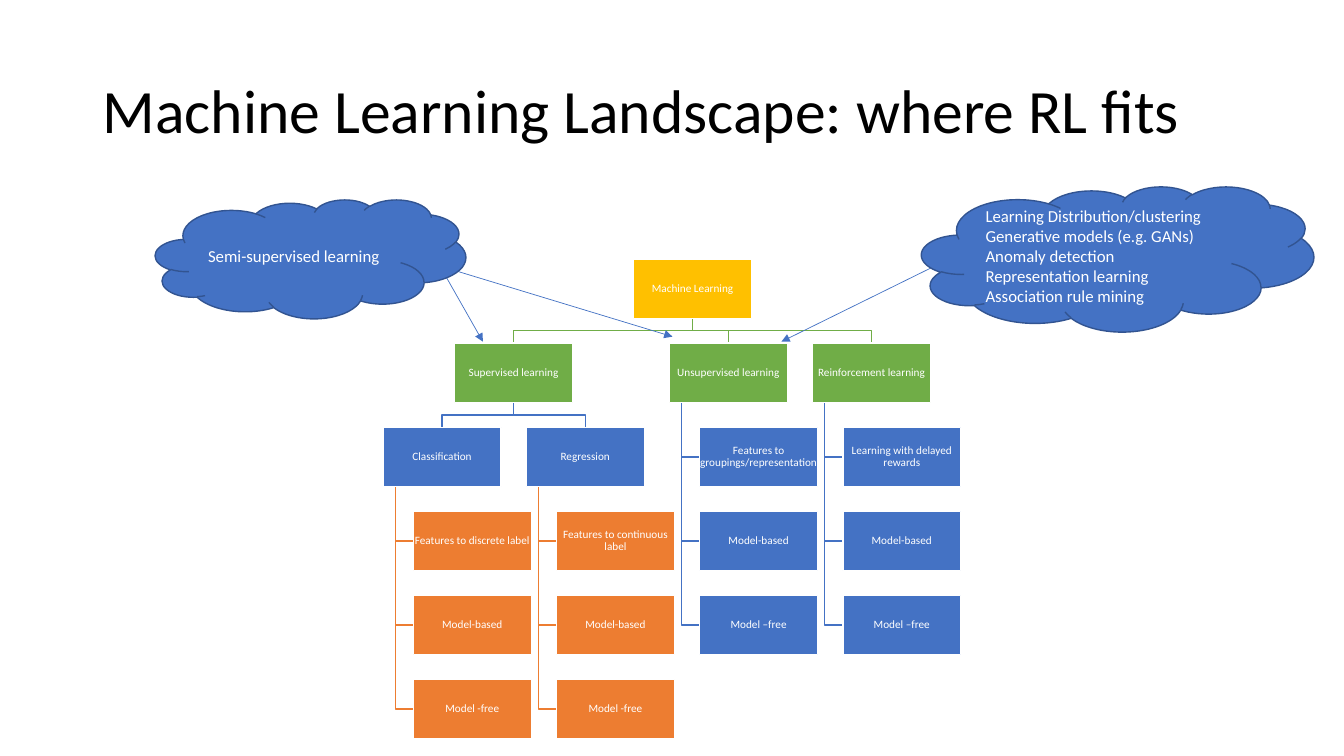
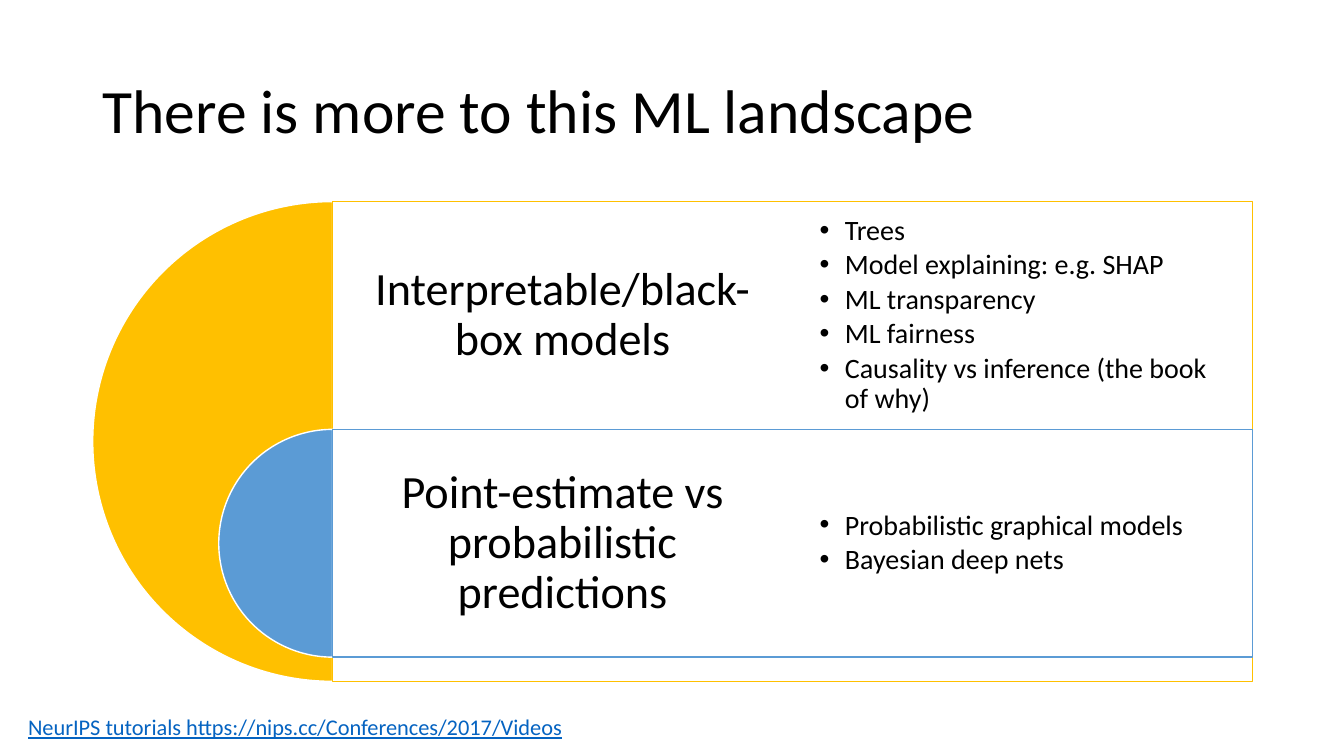
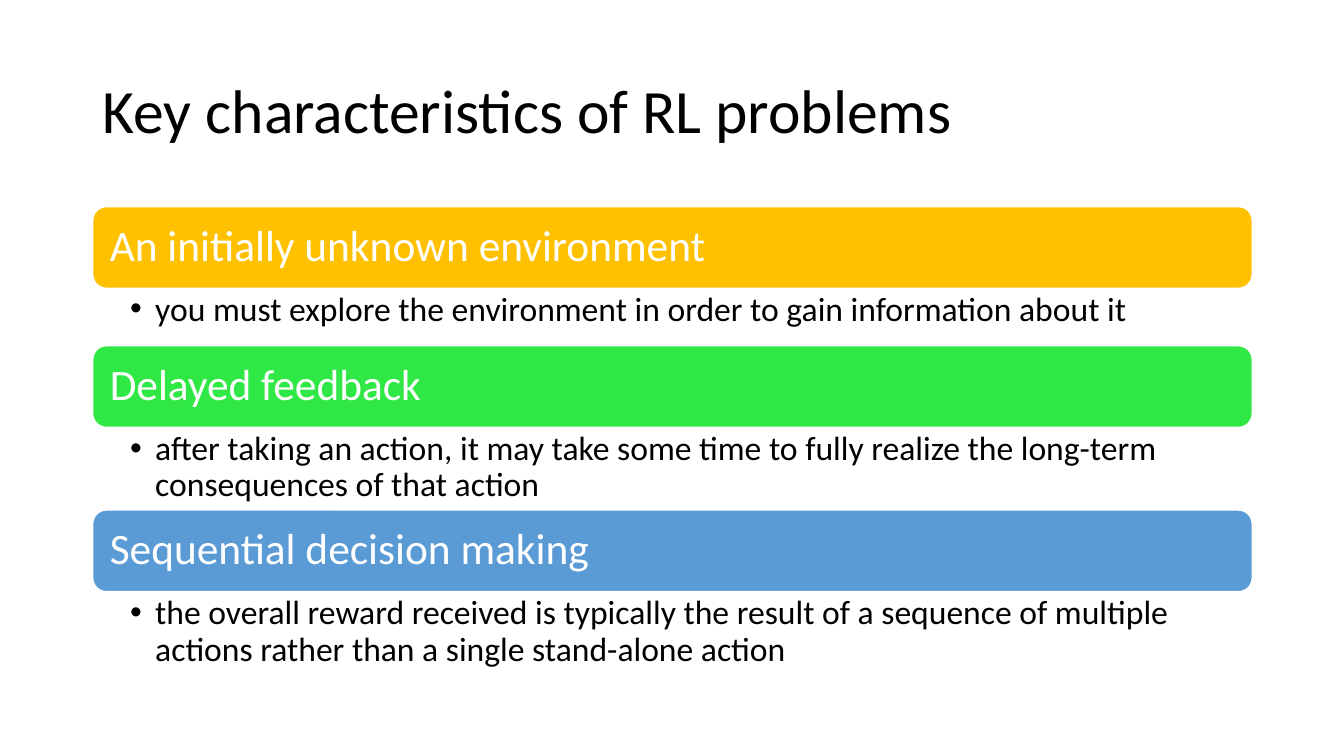
from lxml import etree
from pptx import Presentation
from pptx.dml.color import RGBColor
from pptx.enum.shapes import MSO_CONNECTOR, MSO_SHAPE
from pptx.enum.text import MSO_ANCHOR, PP_ALIGN
from pptx.oxml.ns import qn
from pptx.util import Inches, Pt

RECT, ROUND = MSO_SHAPE.RECTANGLE, MSO_SHAPE.ROUNDED_RECTANGLE
CLOUD, PIE = MSO_SHAPE.CLOUD, MSO_SHAPE.PIE
STRAIGHT = MSO_CONNECTOR.STRAIGHT
TOP, MID = MSO_ANCHOR.TOP, MSO_ANCHOR.MIDDLE
LEFT, CENTER = PP_ALIGN.LEFT, PP_ALIGN.CENTER

FONT, DOT = "Calibri", "Arial"
HEX = {
    "white": "FFFFFF", "black": "000000", "gold": "FFC000", "green": "70AD47",
    "blue": "4472C4", "navy": "325491", "orange": "ED7D31", "sky": "5B9BD5",
    "lime": "30E845", "link": "0563C1",
}
MARGIN, WIDE = 0.92, 11.5
INSET = (0.1, 0.05, 0.1, 0.05)

# Tree nodes are (text, children)
TREE = ("Machine Learning", [
    ("Supervised learning", [
        ("Classification", [("Features to discrete label", []),
                            ("Model-based", []), ("Model -free", [])]),
        ("Regression", [("Features to continuous label", []),
                        ("Model-based", []), ("Model -free", [])]),
    ]),
    ("Unsupervised learning", [("Features to groupings/representation", []),
                               ("Model-based", []), ("Model –free", [])]),
    ("Reinforcement learning", [("Learning with delayed rewards", []),
                                ("Model-based", []), ("Model –free", [])]),
])
LEVELS = ("gold", "green", "blue", "orange")

MODELS = [
    ("Interpretable/black-box models", "gold", 4.76,
     ["Trees", "Model explaining: e.g. SHAP", "ML transparency", "ML fairness",
      "Causality vs inference (the book of why)"]),
    ("Point-estimate vs probabilistic predictions", "sky", 2.26,
     ["Probabilistic graphical models", "Bayesian deep nets"]),
]

TRAITS = [
    ("An initially unknown environment", "gold", 0.57,
     "you must explore the environment in order to gain information about it"),
    ("Delayed feedback", "lime", 0.82,
     "after taking an action, it may take some time to fully realize the "
     "long-term consequences of that action"),
    ("Sequential decision making", "sky", 0.82,
     "the overall reward received is typically the result of a sequence of "
     "multiple actions rather than a single stand-alone action"),
]


def rgb(name):
    return RGBColor.from_string(HEX[name])


def write(shape, text, size=12, color="black", align=LEFT, anchor=MID,
          inset=INSET, line=None, after=0, bullet=False, under=False):
    """Fill a shape with one paragraph for each string."""
    frame = shape.text_frame
    frame.word_wrap = True
    frame.vertical_anchor = anchor
    (frame.margin_left, frame.margin_top,
     frame.margin_right, frame.margin_bottom) = map(Inches, inset)
    for i, item in enumerate([text] if isinstance(text, str) else text):
        para = frame.add_paragraph() if i else frame.paragraphs[0]
        if bullet:
            props = para._p.get_or_add_pPr()
            props.set("marL", str(Inches(0.25)))
            props.set("indent", str(Inches(-0.25)))
            etree.SubElement(props, qn("a:buFont")).set("typeface", DOT)
            etree.SubElement(props, qn("a:buChar")).set("char", "•")
        para.alignment = align
        para.space_after = Pt(after)
        if line:
            para.line_spacing = line
        run = para.add_run()
        run.text = item
        font = run.font
        font.name, font.size, font.color.rgb = FONT, Pt(size), rgb(color)
        if under:
            font.underline = True


def label(slide, x, y, w, h, text, **fmt):
    area = slide.shapes.add_textbox(*map(Inches, (x, y, w, h)))
    write(area, text, **fmt)


def block(slide, kind, x, y, w, h, fill, edge="white"):
    shape = slide.shapes.add_shape(kind, *map(Inches, (x, y, w, h)))
    shape.shadow.inherit = False
    shape.fill.solid()
    shape.fill.fore_color.rgb = rgb(fill)
    shape.line.color.rgb = rgb(edge)
    shape.line.width = Pt(1)
    return shape


def bend(slide, points, color):
    """Draw an open angled line."""
    spots = [(Inches(x), Inches(y)) for x, y in points]
    path = slide.shapes.build_freeform(*spots[0])
    path.add_line_segments(spots[1:], close=False)
    shape = path.convert_to_shape()
    shape.shadow.inherit = False
    shape.fill.background()
    shape.line.color.rgb = rgb(color)
    shape.line.width = Pt(1)


def arrow(slide, start, end):
    link = slide.shapes.add_connector(STRAIGHT, *map(Inches, start + end))
    link.line.color.rgb = rgb("blue")
    link.line.width = Pt(0.5)
    etree.SubElement(link.line._get_or_add_ln(), qn("a:tailEnd")).set(
        "type", "triangle")
    etree.SubElement(link._element.spPr, qn("a:effectLst"))


def start(deck, title):
    slide = deck.slides.add_slide(deck.slide_layouts[6])
    label(slide, MARGIN, 0.4, WIDE, 1.45, title, size=44, line=0.9)
    return slide


def tree(slide, left, top, high):
    """Branches spread side by side; leaves hang below their parent."""
    w, h, pitch, indent, stem = 1.17, 0.59, 1.42, 0.3, 0.12
    step = (high - h) / 5
    bleed = 0.03  # lets the longest word reach the cell's edges unbroken
    cells, links = [], []

    def place(node, x, row, depth):
        """Place a node; return its left edge and the next free column."""
        text, kids = node
        y = top + row * step
        base, after = y + h, x + pitch
        color = LEVELS[min(depth + 1, 3)]
        if any(kid[1] for kid in kids):
            spots, after = [], x
            for kid in kids:
                spot, after = place(kid, after, row + 1, depth + 1)
                spots.append(spot)
            x = (spots[0] + spots[-1]) / 2
            mid, low = base + (step - h) / 2, y + step
            for spot in spots:
                links.append(([(x + w / 2, base), (x + w / 2, mid),
                               (spot + w / 2, mid), (spot + w / 2, low)], color))
        else:
            for i, kid in enumerate(kids, 1):
                place(kid, x + indent, row + i, depth + 1)
                mid = y + i * step + h / 2
                links.append(([(x + stem, base), (x + stem, mid),
                               (x + indent, mid)], color))
        cells.append((x, y, text, LEVELS[depth]))
        return x, after

    place(TREE, left, 0, 0)
    for points, color in links:
        bend(slide, points, color)
    for x, y, text, color in cells:
        block(slide, RECT, x, y, w, h, color)
        label(slide, x - bleed, y, w + 2 * bleed, h, text, size=8,
              color="white", align=CENTER, inset=(0.01,) * 4, line=0.9)


def cloud(slide, x, y, w, h, text):
    write(block(slide, CLOUD, x, y, w, h, "blue", "navy"), text, color="white")


def rings(slide, x, y, w, size):
    """Nested half discs, each with a panel of heading and bullets."""
    axis, row = x + size / 2, 2.26
    half = (x + w - axis) / 2
    for i, (head, color, disc, points) in enumerate(MODELS):
        at = y + i * row
        pie = block(slide, PIE, axis - disc / 2, at, disc, disc, color)
        pie.adjustments[0], pie.adjustments[1] = 54, 162
        panel = block(slide, RECT, axis, at, 2 * half, disc, "white", color)
        tint = panel._element.spPr.find(qn("a:solidFill"))[0]
        etree.SubElement(tint, qn("a:alpha")).set("val", "90000")
        label(slide, axis, at, half, row, head, size=33, align=CENTER,
              inset=(0.14,) * 4, line=0.9)
        label(slide, axis + half, at, half, row, points, size=20,
              inset=(0.27,) * 4, line=0.9, after=3, bullet=True)


def bands(slide, x, y, w):
    """Coloured headings, each with a bullet below."""
    bar = 0.81
    for head, color, high, note in TRAITS:
        write(block(slide, ROUND, x, y, w, bar, color), head, size=31,
              color="white", inset=(0.13,) * 4, line=0.9)
        label(slide, x, y + bar, w, high, note, size=24, anchor=TOP,
              inset=(0.37, 0.04, 0.24, 0.04), line=0.9, bullet=True)
        y += bar + high


def main():
    deck = Presentation()
    deck.slide_width, deck.slide_height = Inches(13.33), Inches(7.5)

    # Landscape tree with clouds
    slide = start(deck, "Machine Learning Landscape: where RL fits")
    tree(slide, 3.8, 2.57, 4.76)
    for tail, tip in (((9.25, 2.65), (7.75, 3.39)),
                      ((4.37, 2.65), (4.79, 3.39)),
                      ((4.4, 2.65), (6.67, 3.34))):
        arrow(slide, tail, tip)
    cloud(slide, 1.54, 1.98, 3.08, 1.18, "Semi-supervised learning")
    cloud(slide, 9.14, 1.85, 3.89, 1.44,
          ["Learning Distribution/clustering", "Generative models (e.g. GANs)",
           "Anomaly detection", "Representation learning",
           "Association rule mining"])

    # Model families
    slide = start(deck, "There is more to this ML landscape")
    rings(slide, MARGIN, 2, WIDE, 4.76)
    label(slide, 0.18, 7.03, 6.27, 0.37,
          "NeurIPS tutorials https://nips.cc/Conferences/2017/Videos",
          size=16, color="link", anchor=TOP, under=True)

    # Problem traits
    slide = start(deck, "Key characteristics of RL problems")
    bands(slide, MARGIN, 2.05, WIDE)

    deck.save("out.pptx")


if __name__ == "__main__":
    main()
